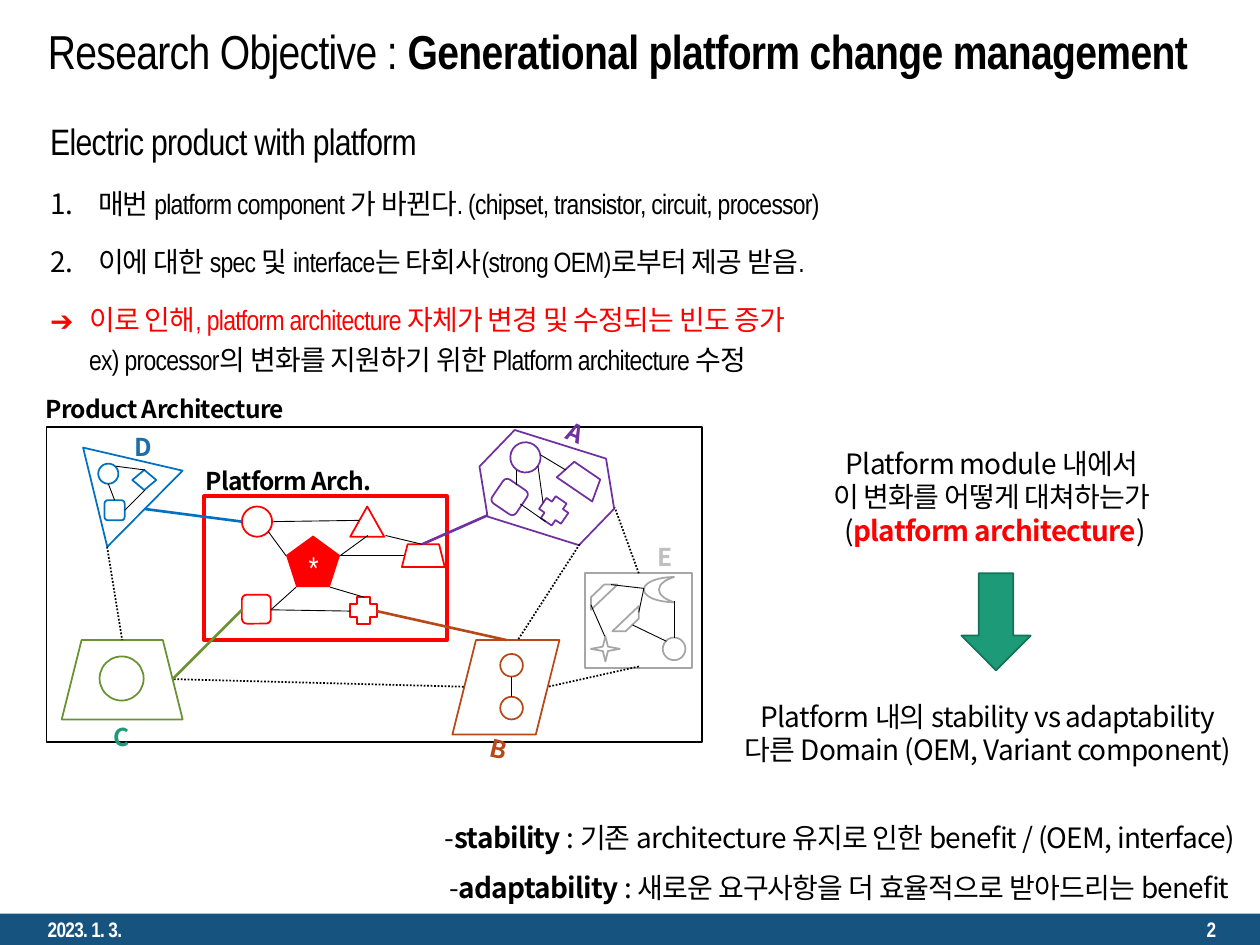
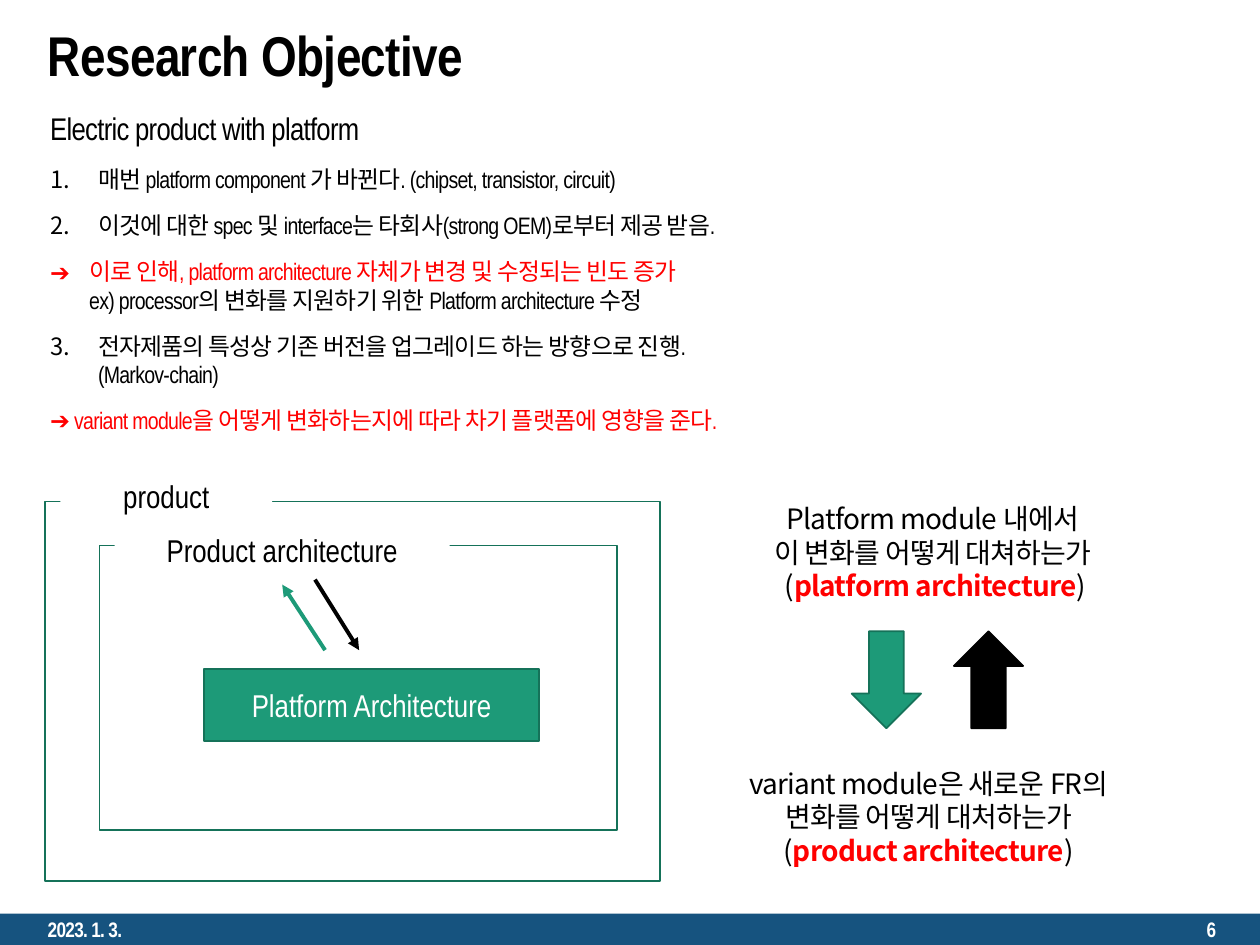
from dataclasses import dataclass
from typing import NamedTuple

from lxml import etree
from pptx import Presentation
from pptx.dml.color import RGBColor
from pptx.enum.dml import MSO_LINE
from pptx.enum.shapes import MSO_CONNECTOR, MSO_SHAPE
from pptx.enum.text import MSO_ANCHOR, MSO_AUTO_SIZE, PP_ALIGN
from pptx.oxml.ns import qn
from pptx.util import Inches, Pt

LEFT, MID, RIGHT = PP_ALIGN.LEFT, PP_ALIGN.CENTER, PP_ALIGN.RIGHT
TOP, CENTER = MSO_ANCHOR.TOP, MSO_ANCHOR.MIDDLE
BOX, OVAL, ROUND = MSO_SHAPE.RECTANGLE, MSO_SHAPE.OVAL, MSO_SHAPE.ROUNDED_RECTANGLE
TRI, FIVE, SIX = MSO_SHAPE.ISOSCELES_TRIANGLE, MSO_SHAPE.REGULAR_PENTAGON, MSO_SHAPE.HEXAGON
CROSS, TRAP, SLANT = MSO_SHAPE.CROSS, MSO_SHAPE.TRAPEZOID, MSO_SHAPE.PARALLELOGRAM
GEM, STRIPE, STAR = MSO_SHAPE.DIAMOND, MSO_SHAPE.DIAGONAL_STRIPE, MSO_SHAPE.STAR_4_POINT
MOON, DOWN = MSO_SHAPE.MOON, MSO_SHAPE.DOWN_ARROW
STRAIGHT, DOTS, FIXED = MSO_CONNECTOR.STRAIGHT, MSO_LINE.ROUND_DOT, MSO_AUTO_SIZE.NONE

INK = {
    "black": "000000", "white": "FFFFFF", "red": "FF0000", "band": "16537F",
    "teal": "1D9A78", "pine": "157259", "blue": "0070C0", "green": "699331",
    "violet": "7030A0", "rust": "B74919", "gray": "A6A6A6", "pale": "BFBFBF",
    "steel": "1D6FA9",
}
NARROW, SANS = "Arial Narrow", "Noto Sans CJK KR"
ARROW = "➔"


class Span(NamedTuple):
    text: str
    ink: str | None = None
    bold: bool | None = None


@dataclass
class Para:
    spans: list[Span]
    size: float = 16
    face: str = SANS
    ink: str = "black"
    bold: bool = False
    align: int = LEFT
    lead: float | None = None
    gap: float = 0
    mark: int | str | None = None
    tight: bool = True


@dataclass
class Form:
    kind: int
    at: tuple[float, float, float, float]
    line: str | None = None
    fill: str | None = None
    turn: float = 0
    width: float = 1
    label: str = ""
    tint: str = "white"


@dataclass
class Link:
    ends: tuple[float, float, float, float]
    ink: str = "black"
    width: float = 0.5
    dots: bool = False
    head: bool = False


def rgb(name: str) -> RGBColor:
    return RGBColor.from_string(INK[name])


def mark_para(para, mark: int | str) -> None:
    props = para._p.get_or_add_pPr()
    dent = Inches(0.31 if mark == ARROW else 0.38)
    props.set("marL", str(dent))
    props.set("indent", str(-dent))
    etree.SubElement(props, qn("a:buFont")).set("typeface", SANS)
    if mark == ARROW:
        etree.SubElement(props, qn("a:buChar")).set("char", ARROW)
    else:
        auto = etree.SubElement(props, qn("a:buAutoNum"))
        auto.set("type", "arabicPeriod")
        auto.set("startAt", str(mark))


def write(frame, paras: list[Para], anchor: int = TOP, inset: bool = True) -> None:
    frame.word_wrap = True
    frame.auto_size = FIXED
    frame.vertical_anchor = anchor
    if not inset:
        frame.margin_left = frame.margin_right = 0
        frame.margin_top = frame.margin_bottom = 0
    for rank, item in enumerate(paras):
        para = frame.add_paragraph() if rank else frame.paragraphs[0]
        para.alignment = item.align
        para.space_before = Pt(item.gap)
        if item.lead:
            para.line_spacing = item.lead
        if item.mark:
            mark_para(para, item.mark)
        font = para.font
        font.size, font.name, font.bold = Pt(item.size), item.face, item.bold
        font.color.rgb = rgb(item.ink)
        etree.SubElement(font._rPr, qn("a:ea")).set("typeface", SANS)
        if item.tight:
            font._rPr.set("spc", "-40")
        for span in item.spans:
            for row, text in enumerate(span.text.split("\n")):
                if row:
                    para.add_line_break()
                run = para.add_run()
                run.text = text
                if span.ink:
                    run.font.color.rgb = rgb(span.ink)
                if span.bold is not None:
                    run.font.bold = span.bold


def add_text(shapes, at: tuple, paras: list[Para], anchor: int = TOP,
             inset: bool = True, turn: float = 0) -> None:
    box = shapes.add_textbox(*map(Inches, at))
    box.rotation = turn
    write(box.text_frame, paras, anchor, inset)


def add_form(shapes, form: Form) -> None:
    shape = shapes.add_shape(form.kind, *map(Inches, form.at))
    shape.shadow.inherit = False
    shape.rotation = form.turn
    if form.fill:
        shape.fill.solid()
        shape.fill.fore_color.rgb = rgb(form.fill)
    else:
        shape.fill.background()
    if form.line:
        shape.line.color.rgb = rgb(form.line)
        shape.line.width = Pt(form.width)
    else:
        shape.line.fill.background()
    if form.label:
        write(shape.text_frame, [Para([Span(form.label)], 18, NARROW, form.tint,
                                      align=MID, tight=False)], CENTER)


def add_link(shapes, link: Link) -> None:
    wire = shapes.add_connector(STRAIGHT, *map(Inches, link.ends))
    wire.line.color.rgb = rgb(link.ink)
    wire.line.width = Pt(link.width)
    if link.dots:
        wire.line.dash_style = DOTS
    if link.head:
        etree.SubElement(wire.line._get_or_add_ln(), qn("a:tailEnd")).set("type", "triangle")
    etree.SubElement(wire._element.spPr, qn("a:effectLst"))


def start(deck, title: Para, page: int):
    slide = deck.slides.add_slide(deck.slide_layouts[5])
    head = slide.shapes.title
    head.left, head.top, head.width, head.height = map(Inches, (0.28, 0.11, 9.38, 0.64))
    write(head.text_frame, [title], CENTER)
    add_form(slide.shapes, Form(BOX, (0, 7.25, 10, 0.25), fill="band"))
    for left, text, align in ((0.28, "2023. 1. 3.", LEFT), (7.5, str(page), RIGHT)):
        foot = Para([Span(text)], 12, NARROW, "white", True, align)
        add_text(slide.shapes, (left, 7.25, 2.25, 0.25), [foot], CENTER)
    return slide.shapes


def add_body(shapes, lead: float, head: float, size: float, items: list) -> None:
    paras = [Para([Span("Electric product with platform")], head, NARROW, lead=lead, gap=10)]
    paras += [Para(spans, size, NARROW, lead=lead, gap=10, mark=mark) for mark, spans in items]
    add_text(shapes, (0.3, 0.82, 6.89, 2.84), paras)


def add_note(shapes, at: tuple, rows: list[str], key: str = "") -> None:
    lines = [[Span(row)] for row in rows]
    if key:
        lines.append([Span("("), Span(key, "red", True), Span(")")])
    add_text(shapes, at, [Para(line, align=MID) for line in lines], inset=False)


CAUSE = (ARROW, [
    Span("이로 인해, platform architecture 자체가 변경 및 수정되는 빈도 증가\n", "red"),
    Span("ex) processor의 변화를 지원하기 위한 Platform architecture 수정")])
ASK = ["Platform module 내에서 ", "이 변화를 어떻게 대쳐하는가 "]

PARTS = {
    "red": [
        (OVAL, (1.92, 4.02, 0.24, 0.24)), (TRI, (2.78, 4.02, 0.27, 0.24)),
        (ROUND, (1.92, 4.72, 0.23, 0.23)), (CROSS, (2.78, 4.74, 0.21, 0.21)),
        (TRAP, (3.19, 4.32, 0.34, 0.18))],
    "blue": [
        (TRI, (0.48, 3.45, 0.85, 0.69), 314.7), (OVAL, (0.78, 3.68, 0.16, 0.16)),
        (ROUND, (0.83, 3.97, 0.16, 0.16)), (GEM, (1.05, 3.73, 0.19, 0.16))],
    "green": [(TRAP, (0.49, 5.08, 0.96, 0.63)), (OVAL, (0.79, 5.21, 0.35, 0.35))],
    "violet": [
        (SIX, (3.78, 3.51, 1.12, 0.72), 17.4), (OVAL, (4.05, 3.51, 0.24, 0.24), 34.3),
        (ROUND, (3.93, 3.83, 0.23, 0.23), 34.3), (CROSS, (4.29, 3.95, 0.21, 0.21), 34.3),
        (TRAP, (4.44, 3.72, 0.34, 0.18), 34.3)],
    "rust": [
        (SLANT, (3.59, 5.08, 0.85, 0.75)), (OVAL, (3.97, 5.19, 0.18, 0.18)),
        (OVAL, (3.97, 5.53, 0.18, 0.18))],
    "gray": [
        (BOX, (4.64, 4.55, 0.85, 0.75)), (OVAL, (5.26, 5.06, 0.18, 0.18)),
        (STRIPE, (4.69, 4.64, 0.21, 0.2)), (STAR, (4.69, 5.05, 0.23, 0.2)),
        (STRIPE, (4.86, 4.81, 0.21, 0.2), 180), (MOON, (5.11, 4.58, 0.24, 0.2))],
}
WIRES = [
    (2.17, 4.14, 2.85, 4.13), (2.13, 4.22, 2.27, 4.41), (2.15, 4.84, 2.35, 4.66),
    (2.15, 4.84, 2.78, 4.85), (2.92, 4.25, 2.7, 4.41), (3.21, 4.41, 2.7, 4.41),
    (2.89, 4.74, 2.62, 4.66), (3.06, 4.25, 3.35, 4.32), (0.86, 3.84, 0.91, 3.97),
    (0.99, 4.05, 1.15, 3.89), (0.92, 3.7, 1.15, 3.73), (4.1, 3.85, 4.1, 3.73),
    (4.13, 4, 4.33, 4.14), (4.27, 3.7, 4.31, 3.99), (4.29, 3.61, 4.49, 3.73),
    (4.06, 5.37, 4.06, 5.53), (5.02, 4.96, 5.29, 5.09), (4.69, 4.8, 4.8, 5.05),
    (5.11, 4.67, 4.85, 4.64), (5.07, 4.86, 5.11, 4.67), (5.35, 5.06, 5.35, 4.77)]
DOTTED = [
    (4.6, 4.32, 4.11, 5.08), (5.07, 4.55, 4.88, 4.03), (5.07, 5.29, 4.35, 5.45),
    (3.68, 5.45, 1.37, 5.39), (0.85, 4.34, 0.97, 5.08)]
BRIDGES = {
    "blue": (1.15, 4.04, 1.92, 4.14), "green": (1.37, 5.39, 1.92, 4.84),
    "rust": (2.99, 4.85, 4.02, 5.08), "violet": (3.87, 4.09, 3.35, 4.32)}
TAGS = [
    ("Platform Arch.", 1.63, 3.7, 1.7, "black", 0),
    ("Product Architecture", 0.36, 3.13, 1.99, "black", 0),
    ("A", 4.5, 3.34, 0.23, "violet", 22.9), ("B", 3.89, 5.84, 0.23, "rust", 12.9),
    ("C", 0.9, 5.73, 0.23, "teal", 0), ("D", 1.07, 3.43, 0.23, "steel", 0),
    ("E", 5.22, 4.3, 0.23, "pale", 0)]


def draw_map(shapes) -> None:
    add_form(shapes, Form(BOX, (0.37, 3.39, 5.2, 2.5), "black"))
    add_form(shapes, Form(BOX, (1.62, 3.94, 1.93, 1.14), "red", width=2.25))
    add_form(shapes, Form(FIVE, (2.27, 4.25, 0.43, 0.41), fill="red", label="*"))
    for ink, parts in PARTS.items():
        for kind, at, *turn in parts:
            add_form(shapes, Form(kind, at, ink, turn=sum(turn)))
    links = [Link(ends) for ends in WIRES]
    links += [Link(ends, width=1, dots=True) for ends in DOTTED]
    links += [Link(ends, ink, 1.5) for ink, ends in BRIDGES.items()]
    for link in links:
        add_link(shapes, link)
    for text, left, top, width, ink, turn in TAGS:
        tag = Para([Span(text)], 14, ink=ink, bold=True)
        add_text(shapes, (left, top, width, 0.24), [tag], inset=False, turn=turn)


def first(deck) -> None:
    shapes = start(deck, Para([
        Span("Research Objective : "),
        Span("Generational platform change management", bold=True)],
        27.2, NARROW, lead=0.9), 2)
    add_body(shapes, 1.2, 21, 16, [
        (1, [Span("매번 platform component 가 바뀐다. (chipset, transistor, circuit, processor)")]),
        (2, [Span("이에 대한 spec 및 interface는 타회사(strong OEM)로부터 제공 받음.")]),
        CAUSE])
    add_note(shapes, (5.57, 3.54, 4.65, 0.81), ASK, "platform architecture")
    add_note(shapes, (5.57, 5.55, 4.54, 0.54), [
        "Platform 내의 stability vs adaptability", "다른 Domain (OEM, Variant component)"])
    add_form(shapes, Form(DOWN, (7.63, 4.55, 0.55, 0.77), "pine", "teal"))
    draw_map(shapes.add_group_shape().shapes)
    add_text(shapes, (3.06, 6.33, 6.84, 0.86), [Para([
        Span("-"), Span("stability", bold=True),
        Span(" : 기존 architecture 유지로 인한 benefit / (OEM, interface)\n-"),
        Span("adaptability", bold=True),
        Span(" : 새로운 요구사항을 더 효율적으로 받아드리는 benefit ")], align=RIGHT, lead=1.5)])


def second(deck) -> None:
    shapes = start(deck, Para([Span("Research Objective")], 32, NARROW, bold=True), 6)
    add_body(shapes, 1, 17.9, 13.6, [
        (1, [Span("매번 platform component 가 바뀐다. (chipset, transistor, circuit)")]),
        (2, [Span("이것에 대한 spec 및 interface는 타회사(strong OEM)로부터 제공 받음.")]),
        CAUSE,
        (3, [Span("전자제품의 특성상 기존 버전을 업그레이드 하는 방향으로 진행. \n(Markov-chain)")]),
        (None, [Span(ARROW + " variant module을 어떻게 변화하는지에 따라 차기 플랫폼에 영향을 준다.", "red")])])
    add_note(shapes, (5.1, 3.98, 4.65, 0.81), ASK, "platform architecture")
    add_note(shapes, (5.1, 6.08, 4.54, 0.81), [
        "variant module은 새로운 FR의", "변화를 어떻게 대처하는가"], "product architecture")
    for form in (
            Form(BOX, (1.62, 5.31, 2.66, 0.57), "pine", "teal", label="Platform Architecture"),
            Form(BOX, (0.79, 4.33, 4.11, 2.26), "pine"),
            Form(BOX, (0.91, 4.08, 2.66, 0.57), fill="white", label="Product architecture", tint="black"),
            Form(BOX, (0.36, 3.98, 4.88, 3.01), "pine"),
            Form(BOX, (0.48, 3.76, 1.68, 0.36), fill="white", label="product", tint="black"),
            Form(DOWN, (6.76, 5.01, 0.55, 0.77), "pine", "teal"),
            Form(DOWN, (7.57, 5.01, 0.55, 0.77), "black", "black", 180)):
        add_form(shapes, form)
    add_link(shapes, Link((2.58, 5.16, 2.24, 4.64), "teal", 2.25, head=True))
    add_link(shapes, Link((2.5, 4.6, 2.85, 5.16), width=2.25, head=True))


def main() -> None:
    deck = Presentation()
    deck.slide_width, deck.slide_height = Inches(10), Inches(7.5)
    first(deck)
    second(deck)
    deck.save("out.pptx")


if __name__ == "__main__":
    main()
